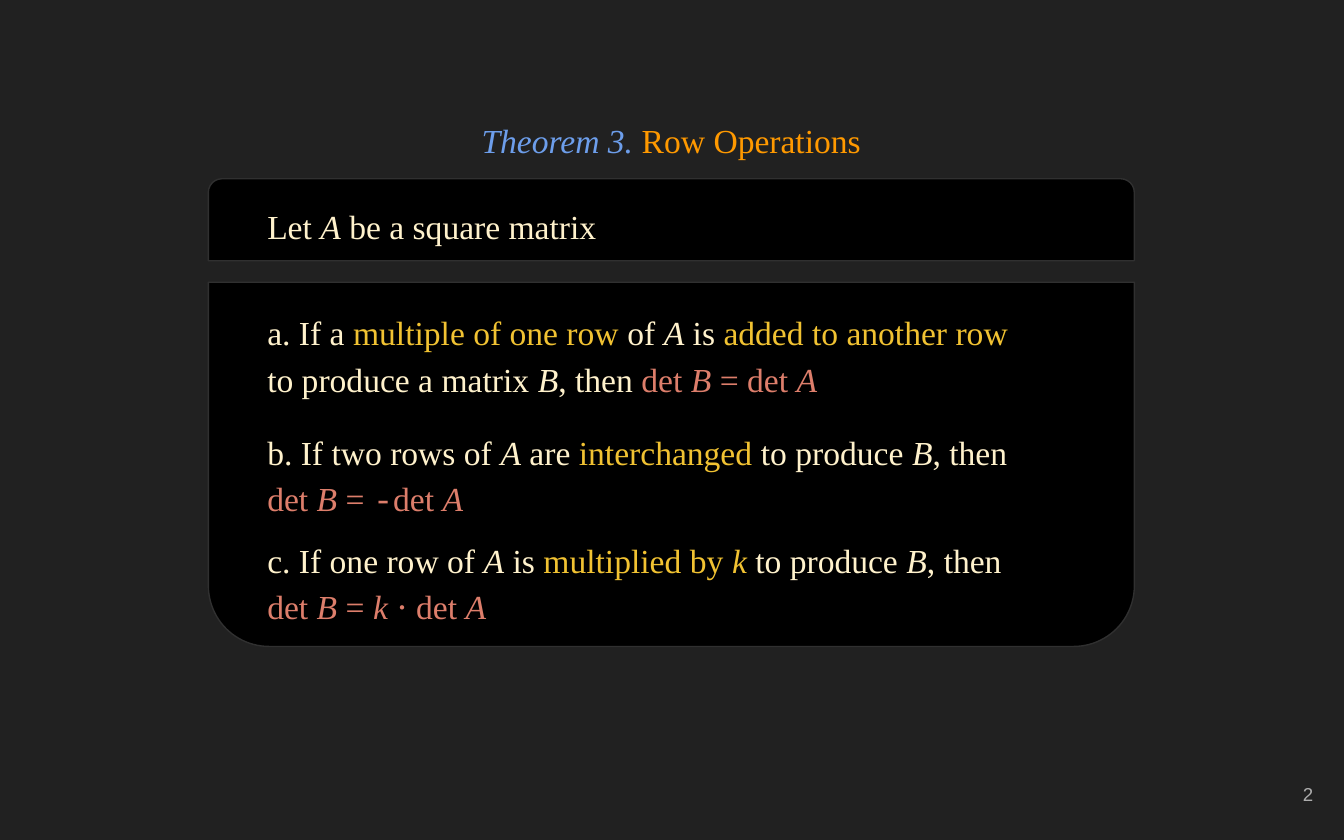
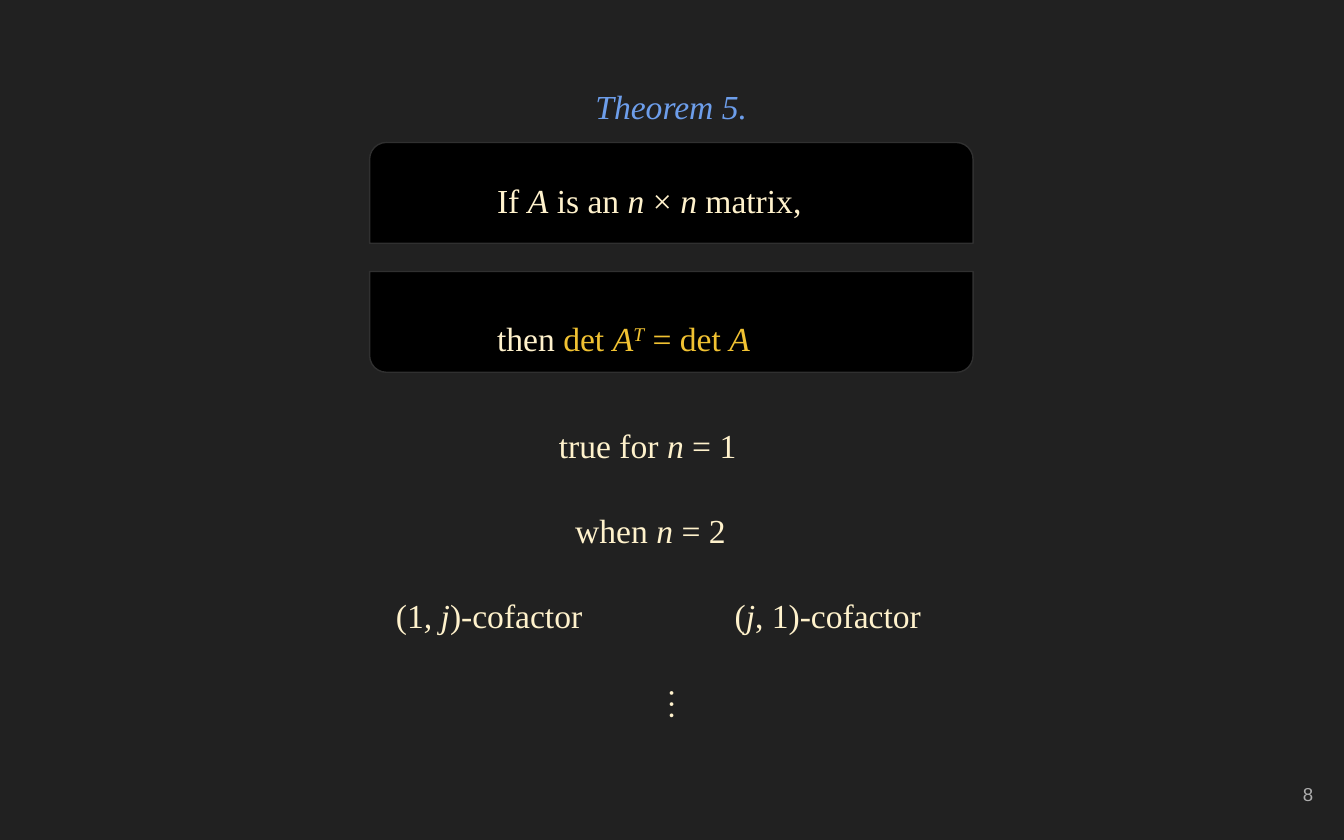
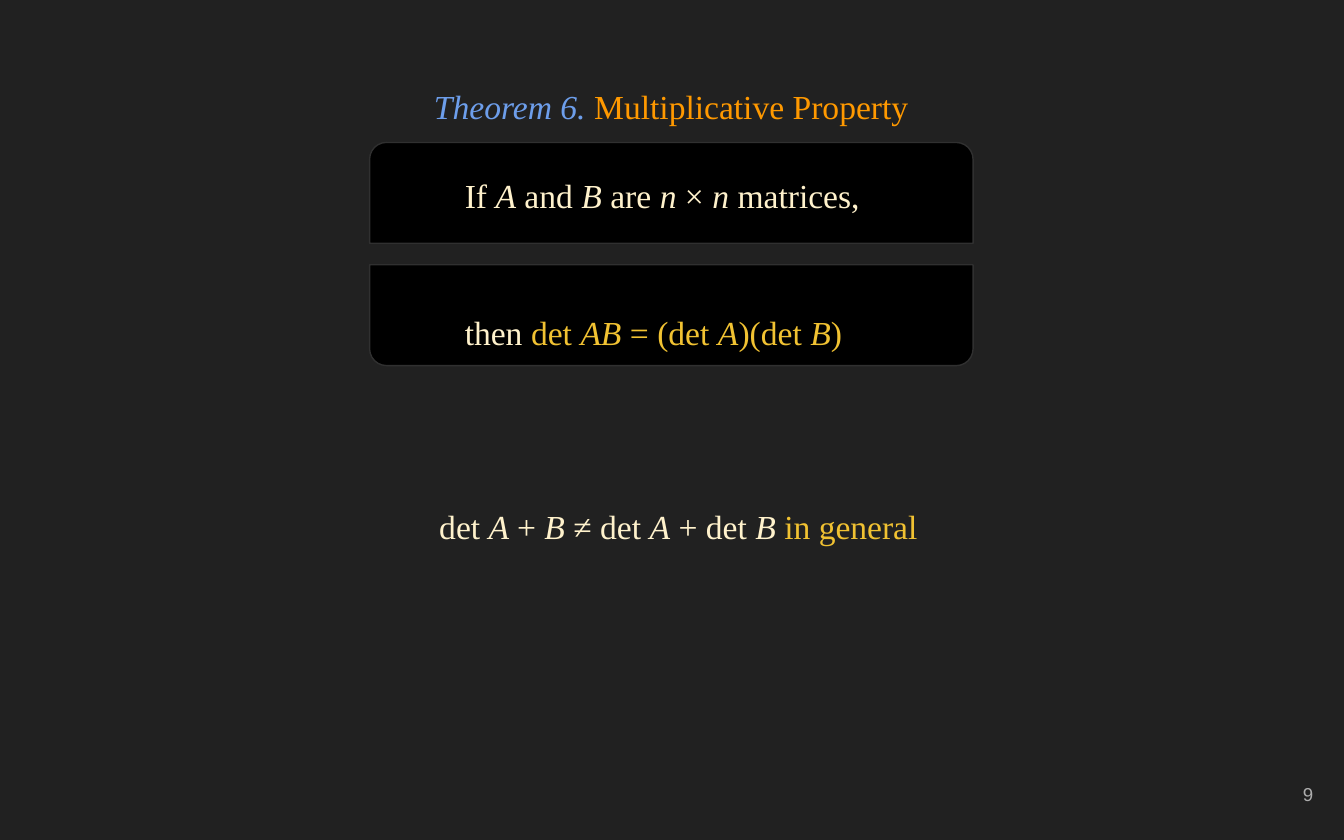
from dataclasses import dataclass

from pptx import Presentation
from pptx import util as u
from pptx.dml import color
from pptx.enum import shapes, text
from pptx.slide import Slide


@dataclass(frozen=True)
class Theme:
    background: str = "212121"
    panel: str = "000000"
    border: str = "303030"
    body: str = "FFF2CC"
    key: str = "F1C232"
    result: str = "DD7E6B"
    label: str = "6D9EEB"
    name: str = "FF9900"
    folio: str = "ADADAD"
    serif: str = "Times New Roman"
    sans: str = "Arial"
    mono: str = "Courier New"
    body_size: float = 18
    folio_size: float = 10
    border_width: float = 0.75
    line_spacing: float = 1.15
    space_after: float = 16
    inset: float = 0.1


THEME = Theme()
LEFT, CENTER, RIGHT = text.PP_ALIGN.LEFT, text.PP_ALIGN.CENTER, text.PP_ALIGN.RIGHT
TOP, MIDDLE = text.MSO_ANCHOR.TOP, text.MSO_ANCHOR.MIDDLE


@dataclass(frozen=True)
class Area:
    left: float
    top: float
    width: float
    height: float = 0.55

    def lengths(self) -> list[u.Length]:
        return [u.Inches(n) for n in (self.left, self.top, self.width, self.height)]


@dataclass(frozen=True)
class Phrase:
    words: str
    colour: str = THEME.body
    font: str = THEME.serif
    raised: bool = False


@dataclass(frozen=True)
class Statement:
    area: Area
    phrases: list[Phrase]
    align: text.PP_ALIGN = LEFT
    anchor: text.MSO_ANCHOR = TOP


@dataclass(frozen=True)
class Panel:
    area: Area
    statements: list[Statement]
    rotation: int = 0


@dataclass(frozen=True)
class Theorem:
    number: int
    name: str
    title_top: float
    premise: Panel
    conclusion: Panel
    remarks: list[Statement]
    folio: int


def rgb(value: str) -> color.RGBColor:
    return color.RGBColor.from_string(value)


def write(target, area: Area, phrases: list[Phrase], *, align=LEFT, anchor=TOP,
          size: float = THEME.body_size, line_spacing: float = THEME.line_spacing,
          space_after: float = THEME.space_after) -> None:
    frame = target.add_textbox(*area.lengths()).text_frame
    frame.word_wrap = True
    frame.vertical_anchor = anchor
    inset = u.Inches(THEME.inset)
    frame.margin_left = frame.margin_right = inset
    frame.margin_top = frame.margin_bottom = inset
    paragraph = frame.paragraphs[0]
    paragraph.alignment = align
    paragraph.line_spacing = line_spacing
    paragraph.space_after = u.Pt(space_after)
    for phrase in phrases:
        # asterisks enclose italics
        for index, words in enumerate(phrase.words.split("*")):
            if not words:
                continue
            run = paragraph.add_run()
            run.text = words
            run.font.name = phrase.font
            run.font.size = u.Pt(size)
            run.font.italic = index % 2 == 1
            run.font.color.rgb = rgb(phrase.colour)
            if phrase.raised:
                run._r.get_or_add_rPr().set("baseline", "30000")


def draw_statement(target, statement: Statement) -> None:
    write(target, statement.area, statement.phrases,
          align=statement.align, anchor=statement.anchor)


def draw_panel(slide: Slide, panel: Panel) -> None:
    group = slide.shapes.add_group_shape().shapes
    plate = group.add_shape(shapes.MSO_SHAPE.ROUND_2_SAME_RECTANGLE, *panel.area.lengths())
    plate.rotation = panel.rotation
    plate.shadow.inherit = False
    plate.fill.solid()
    plate.fill.fore_color.rgb = rgb(THEME.panel)
    plate.line.color.rgb = rgb(THEME.border)
    plate.line.width = u.Pt(THEME.border_width)
    for statement in panel.statements:
        draw_statement(group, statement)


def draw_theorem(deck, theorem: Theorem) -> None:
    slide = deck.slides.add_slide(deck.slide_layouts[6])
    slide.background.fill.solid()
    slide.background.fill.fore_color.rgb = rgb(THEME.background)
    write(slide.shapes, Area(9.27, 5.67, 0.6, 0.48),
          [Phrase(str(theorem.folio), THEME.folio, THEME.sans)],
          align=RIGHT, anchor=MIDDLE, size=THEME.folio_size, line_spacing=1, space_after=0)
    gap = " " if theorem.name else ""
    write(slide.shapes, Area(0.48, theorem.title_top, 9.03, 0.58),
          [Phrase(f"*Theorem {theorem.number}.{gap}*", THEME.label),
           Phrase(theorem.name, THEME.name)],
          align=CENTER, anchor=MIDDLE, line_spacing=1)
    draw_panel(slide, theorem.premise)
    draw_panel(slide, theorem.conclusion)
    for remark in theorem.remarks:
        draw_statement(slide.shapes, remark)


def key(words: str) -> Phrase:
    return Phrase(words, THEME.key)


def result(words: str) -> Phrase:
    return Phrase(words, THEME.result)


def wide_panel(top: float, height: float, statements: list[Statement],
               rotation: int = 0) -> Panel:
    return Panel(Area(1.55, top, 6.89, height), statements, rotation)


def premise(left: float, text_top: float, words: str) -> Panel:
    return Panel(Area(2.75, 1.06, 4.49, 0.75),
                 [Statement(Area(left, text_top, 4.49), [Phrase(words)])])


def conclusion(left: float, top: float, phrases: list[Phrase]) -> Panel:
    return Panel(Area(2.75, top, 4.49, 0.75),
                 [Statement(Area(left, top + 0.2, 3.28), phrases, anchor=MIDDLE)], 180)


def rule(top: float, height: float, phrases: list[Phrase]) -> Statement:
    return Statement(Area(1.89, top, 5.89, height), phrases)


def remark(left: float, top: float, width: float, words: str, align=CENTER) -> Statement:
    return Statement(Area(left, top, width), [Phrase(words)], align)


row_operations = Theorem(
    3, "Row Operations", 0.75,
    wide_panel(1.33, 0.61, [rule(1.39, 0.58, [Phrase("Let *A* be a square matrix")])]),
    wide_panel(2.1, 2.71, [
        rule(2.18, 0.83, [
            Phrase("a. If a "), key("multiple of one row"), Phrase(" of *A* is "),
            key("added to another row"), Phrase(" to produce a matrix *B*, then "),
            result("det *B* = det *A*")]),
        rule(3.07, 0.77, [
            Phrase("b. If two rows of *A* are "), key("interchanged "),
            Phrase("to produce *B*, then "), result("det *B* = "),
            Phrase("-", THEME.result, THEME.mono), result("det *A*")]),
        rule(3.87, 0.91, [
            Phrase("c. If one row of *A* is "), key("multiplied by *k*"),
            Phrase(" to produce *B*, then "), result("det *B* = *k* ⋅ det *A*")]),
    ], 180),
    [], 2)

transpose = Theorem(
    5, "", 0.5,
    premise(3.6, 1.19, "If *A* is an *n *× *n* matrix, "),
    conclusion(3.6, 2.02, [
        Phrase("then "), key("det *A*"),
        Phrase("*T*", THEME.key, raised=True), key(" = det *A*")]),
    [remark(4.06, 3.02, 1.74, "true for *n* = 1", LEFT),
     remark(3.97, 3.65, 1.74, "when *n* = 2"),
     remark(2.37, 4.28, 2.54, "(1*, j*)-cofactor"),
     remark(5.08, 4.28, 2.16, "(*j*, 1)-cofactor"),
     remark(4.13, 4.94, 1.74, "⋮")],
    8)

product = Theorem(
    6, "Multiplicative Property", 0.5,
    premise(3.36, 1.16, "If *A* and *B* are *n *× *n* matrices,"),
    conclusion(3.36, 1.97, [Phrase("then "), key("det *AB* = (det *A*)(det *B*)")]),
    [Statement(Area(3.17, 3.62, 4.03),
               [Phrase("det *A *+ *B* ≠ det *A* + det *B *"), key("in general")],
               anchor=MIDDLE)],
    9)

deck = Presentation()
deck.slide_width, deck.slide_height = u.Inches(10), u.Inches(6.25)
for theorem in (row_operations, transpose, product):
    draw_theorem(deck, theorem)
deck.save("out.pptx")
